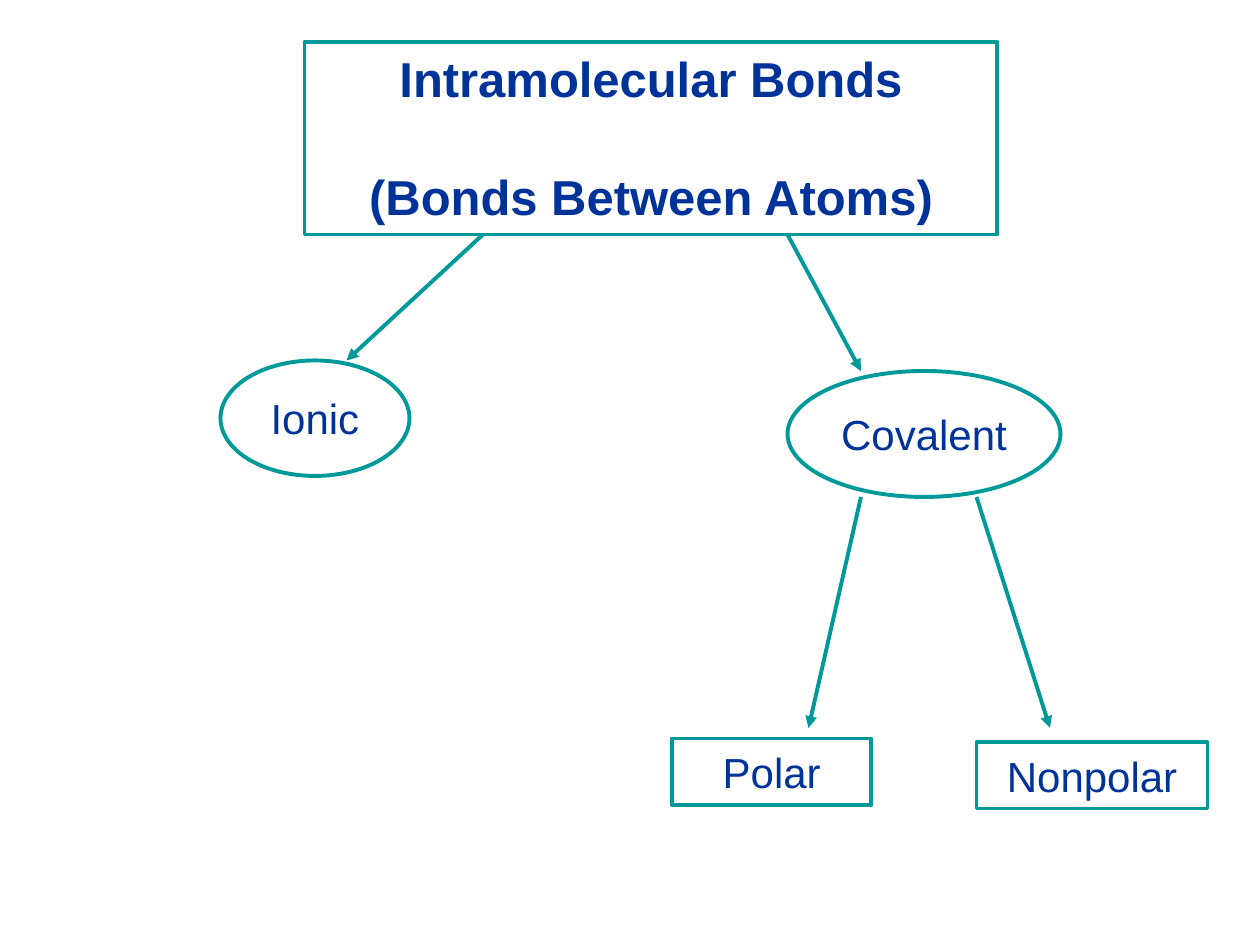
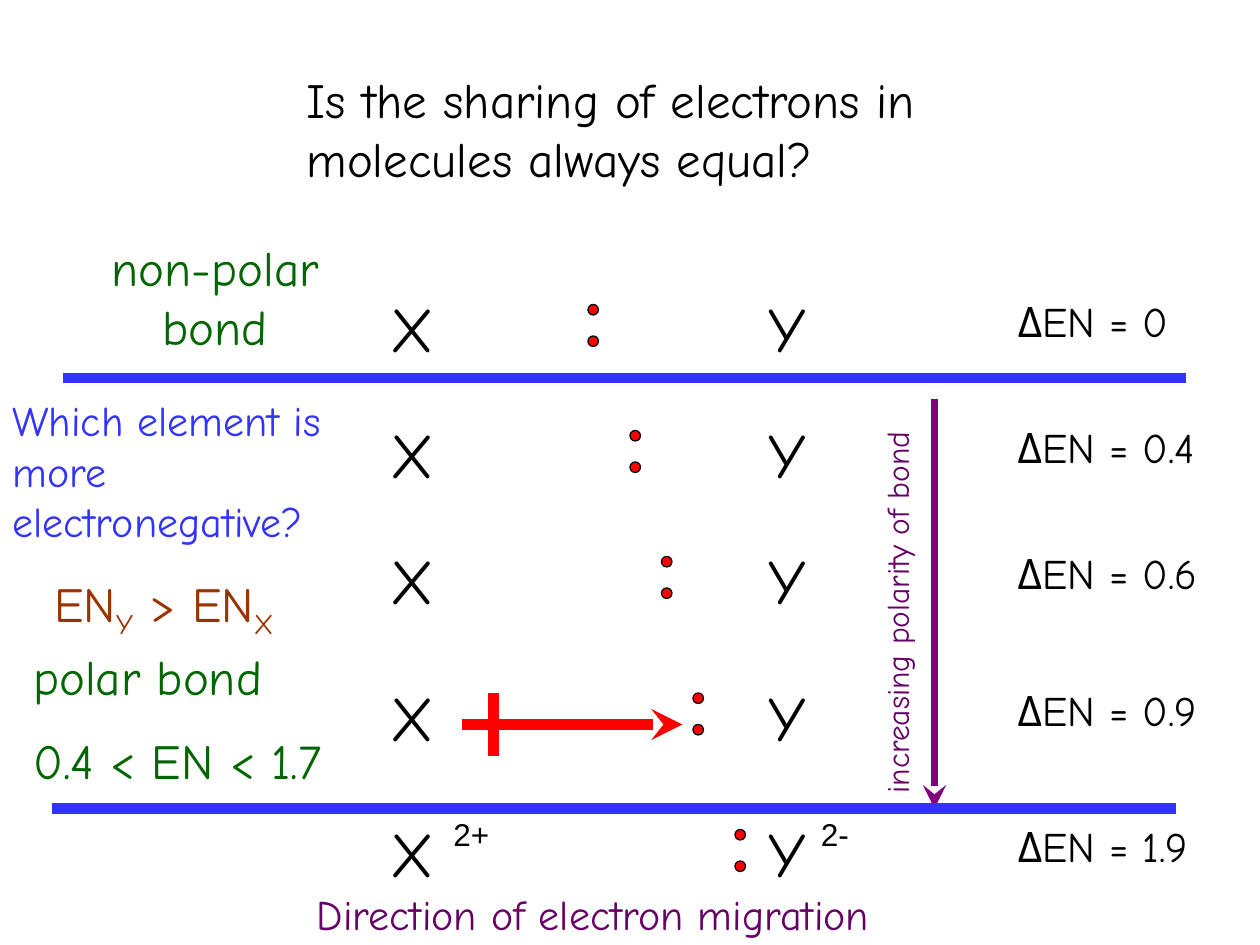
from pptx import Presentation
from pptx.dml.color import RGBColor
from pptx.enum.shapes import MSO_CONNECTOR, MSO_SHAPE
from pptx.enum.text import MSO_ANCHOR, MSO_AUTO_SIZE, PP_ALIGN
from pptx.oxml.ns import qn
from pptx.util import Pt
from lxml.etree import SubElement

HUES = {name: RGBColor.from_string(code) for name, code in {
    "white": "FFFFFF", "black": "000000", "teal": "009999", "navy": "003399",
    "red": "FF0000", "blue": "3333FF", "green": "006600", "brown": "993300",
    "plum": "660066", "purple": "800080"}.items()}
HAND = "Comic Neue"
SUB = "-25000"


def write(shape, lines, size, hue, font=HAND, align=PP_ALIGN.LEFT,
          anchor=MSO_ANCHOR.TOP):
    """Fill a shape with paragraphs, each a list of (text, font, baseline) runs."""
    frame = shape.text_frame
    frame.auto_size = MSO_AUTO_SIZE.NONE
    frame.word_wrap = shape.height > Pt(60)
    frame.vertical_anchor = anchor
    for i, runs in enumerate(lines):
        para = frame.add_paragraph() if i else frame.paragraphs[0]
        para.alignment = align
        para.font.size = Pt(size)
        para.font.color.rgb = HUES[hue]
        para.font.name = font
        for text, face, base in runs:
            run = para.add_run()
            run.text = text
            if face:
                run.font.name = face
            if base:
                run._r.get_or_add_rPr().set("baseline", base)


def draw(slide, ends, hue, width, head=None):
    line = slide.shapes.add_connector(MSO_CONNECTOR.STRAIGHT, *map(Pt, ends))
    line.line.color.rgb = HUES[hue]
    line.line.width = Pt(width)
    if head:
        SubElement(line.line._get_or_add_ln(), qn("a:tailEnd"), type=head)
    SubElement(line._element.spPr, qn("a:effectLst"))


deck = Presentation()
deck.slide_width, deck.slide_height = Pt(720), Pt(540)
layout = deck.slide_layouts[5]

# Slide 1: tree of bond types
tree = deck.slides.add_slide(layout)
title = tree.shapes.title
title.left, title.top, title.width, title.height = map(Pt, (174, 24, 396, 110))
write(title, [[("Intramolecular Bonds", None, None)],
              [("(Bonds Between Atoms)", None, None)]],
      28, "navy", "Arial", PP_ALIGN.CENTER)
for para in title.text_frame.paragraphs:
    para.font.bold = True
title.text_frame.paragraphs[1].space_before = Pt(34)

nodes = [title]
for text, kind, box in [
        ("Ionic", MSO_SHAPE.OVAL, (126, 206, 108, 66)),
        ("Covalent", MSO_SHAPE.OVAL, (450, 212, 156, 72)),
        ("Polar", MSO_SHAPE.RECTANGLE, (384, 422, 114, 38)),
        ("Nonpolar", MSO_SHAPE.RECTANGLE, (558, 424, 132, 38))]:
    node = tree.shapes.add_shape(kind, *map(Pt, box))
    node.shadow.inherit = False
    write(node, [[(text, None, None)]], 24, "navy", "Arial",
          PP_ALIGN.CENTER, MSO_ANCHOR.MIDDLE)
    nodes.append(node)
for node in nodes:
    node.fill.solid()
    node.fill.fore_color.rgb = HUES["white"]
    node.line.color.rgb = HUES["teal"]
    node.line.width = Pt(2.25)

for ends in [(276, 134, 198, 206), (450, 134, 492, 212),
             (492, 284, 462, 416), (558, 284, 600, 416)]:
    draw(tree, ends, "teal", 2.25, "triangle")

# Slide 2: electron sharing from non-polar to ionic
share = deck.slides.add_slide(layout)
title = share.shapes.title
title.left, title.top, title.width, title.height = map(Pt, (168, 36, 378, 74))
write(title, [[("Is the sharing of electrons in molecules always equal?",
                None, None)]], 28, "black")

for top, pair, gap, wide in [
        (162, 336, "0", 104), (234, 360, "0.4", 125), (306, 378, "0.6", 125),
        (384, 396, "0.9", 125), (462, 420, "1.9", 121)]:
    for runs, size, box in [
            ([("X", None, None)], 36, (216, top, 40, 50)),
            ([("Y", None, None)], 36, (432, top, 38, 50)),
            ([("Δ", "Noto Sans", None), (f"EN = {gap}", None, None)], 24,
             (574.5, top + 3.6, wide, 36))]:
        write(share.shapes.add_textbox(*map(Pt, box)), [runs], size, "black")
    for drop in (12, 30):
        dot = share.shapes.add_shape(
            MSO_SHAPE.OVAL, Pt(pair), Pt(top + drop), Pt(6), Pt(6))
        dot.shadow.inherit = False
        dot.fill.solid()
        dot.fill.fore_color.rgb = HUES["red"]
        dot.line.color.rgb = HUES["black"]
        dot.line.width = Pt(0.75)

for text, size, hue, font, box in [
        ("Which element is more electronegative?", 24, "blue", HAND,
         (0, 222, 204, 94)),
        ("polar bond", 28, "green", HAND, (12, 366, 150, 41)),
        ("0.4 < EN < 1.7", 28, "green", HAND, (12, 414, 187, 38)),
        ("Direction of electron migration", 24, "plum", HAND,
         (174, 504, 364, 36)),
        ("2+", 18, "black", "Arial", (252, 462, 48, 29)),
        ("2-", 18, "black", "Arial", (462, 462, 42, 29))]:
    write(share.shapes.add_textbox(*map(Pt, box)), [[(text, None, None)]],
          size, hue, font)

plain = share.shapes.add_textbox(Pt(42), Pt(132), Pt(162), Pt(74))
write(plain, [[("non-polar bond", None, None)]], 28, "green",
      align=PP_ALIGN.CENTER)
rule = share.shapes.add_textbox(Pt(24), Pt(324), Pt(148), Pt(41))
write(rule, [[("EN", None, None), ("Y", None, SUB), (" > EN", None, None),
              ("X", None, SUB)]], 28, "brown")
trend = share.shapes.add_textbox(Pt(385), Pt(310.5), Pt(263), Pt(37))
trend.rotation = 270
write(trend, [[("increasing polarity of bond", None, None)]], 18, "plum")

for ends, hue, width, head in [
        ((678, 216, 36, 216), "blue", 6, None),
        ((534, 228, 534, 462), "purple", 4.5, "stealth"),
        ((264, 414, 390, 414), "red", 6, "stealth"),
        ((282, 396, 282, 432), "red", 6, None),
        ((672, 462, 30, 462), "blue", 6, None)]:
    draw(share, ends, hue, width, head)

deck.save("out.pptx")
